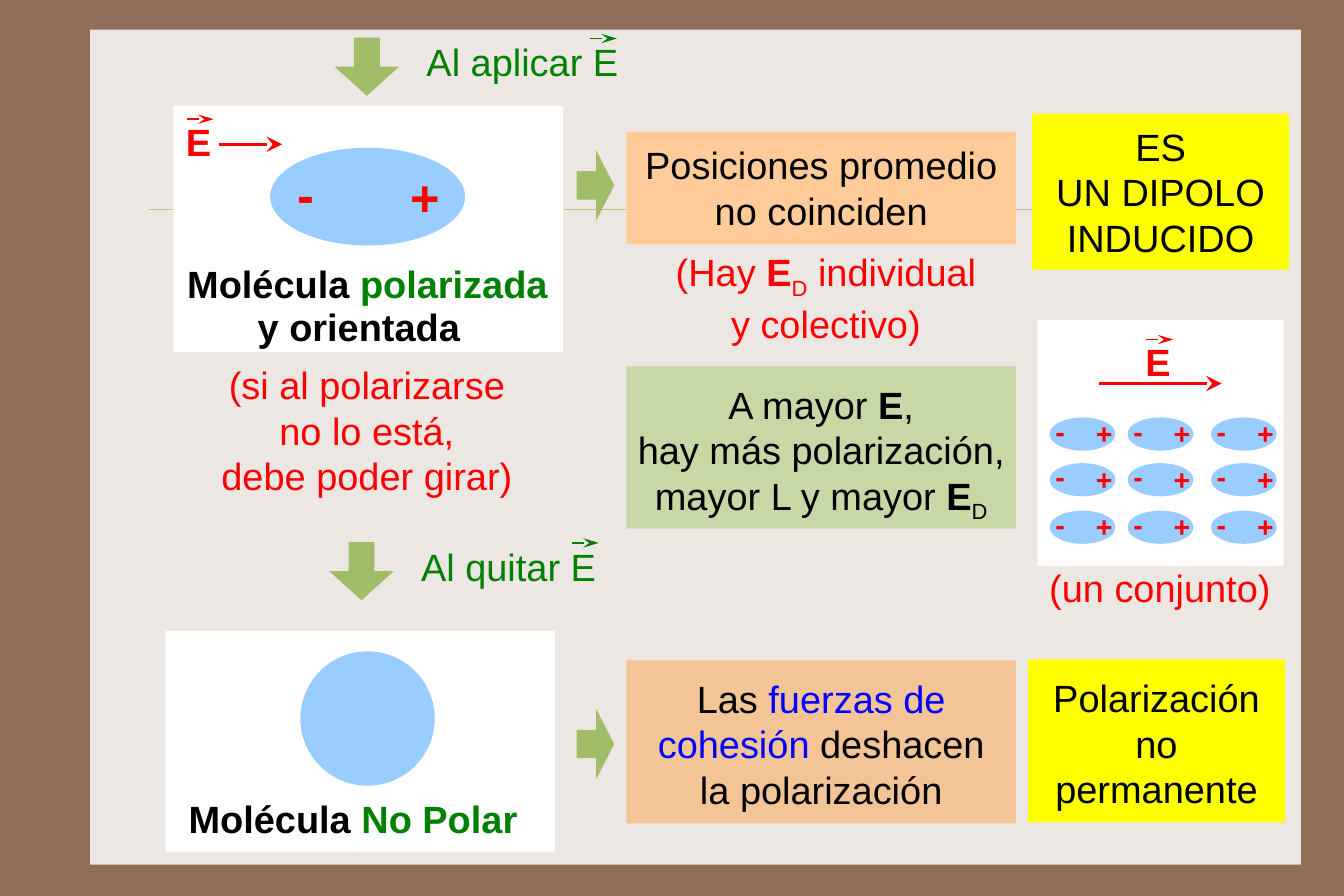
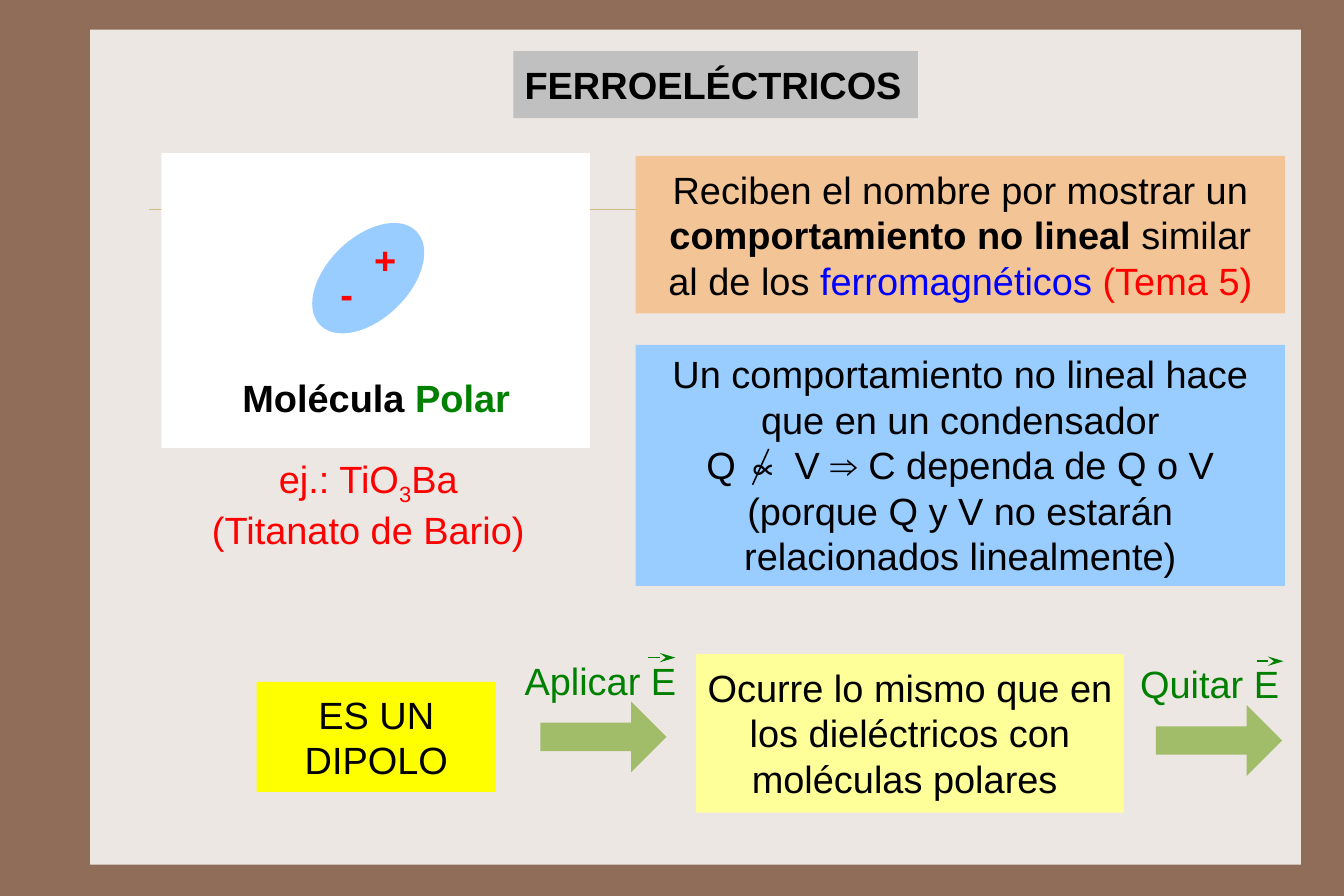
from lxml import etree
from pptx import Presentation
from pptx.dml.color import RGBColor
from pptx.enum.shapes import MSO_CONNECTOR, MSO_SHAPE
from pptx.enum.text import MSO_ANCHOR, PP_ALIGN
from pptx.oxml.ns import qn
from pptx.util import Inches, Pt

RECT, OVAL = MSO_SHAPE.RECTANGLE, MSO_SHAPE.OVAL
RIGHT, DOWN = MSO_SHAPE.RIGHT_ARROW, MSO_SHAPE.DOWN_ARROW
STRAIGHT = MSO_CONNECTOR.STRAIGHT
TOP, MIDDLE = MSO_ANCHOR.TOP, MSO_ANCHOR.MIDDLE
LEFT, CENTER = PP_ALIGN.LEFT, PP_ALIGN.CENTER

COLORS = {
    "frame": "906D58", "panel": "EDE7E3", "rule": "CBBD83", "white": "FFFFFF",
    "black": "000000", "red": "FF0000", "green": "008000", "blue": "0000FF",
    "sky": "99CCFF", "leaf": "A1BD69", "sage": "C7D7A5", "peach": "FFCC99",
    "sand": "F3C495", "yellow": "FFFF00", "cream": "FFFF99", "gray": "C0C0C0",
}
FONT = "Arial"

prs = Presentation()
prs.slide_width, prs.slide_height = Pt(850.5), Pt(567)
# Grid of 100 columns by 100 rows
COL, ROW = prs.slide_width / 100, prs.slide_height / 100

# Insets: left and right, top, bottom
PLAIN, LOW, WIDE, SLIM = (0.1, 0.09, 0.09), (0.1, 0.13, 0.09), (0.12, 0.08, 0.08), (0.1, 0.05, 0.05)
# Run formats
BOLD, SUB = {"bold": True}, {"sub": True}
GREEN, BLUE, RED = {"color": "green"}, {"color": "blue"}, {"color": "red"}
# Box formats
LABEL = {"wrap": False}
CHARGE = {"wrap": False, "bold": True, "color": "red"}
CENTERED = {"align": CENTER}
NOTE = {"align": CENTER, "color": "red"}


def put(s, x, y, w, h, *paras, shape=None, fill=None, rot=0, adj=(), ins=PLAIN,
        anchor=TOP, align=LEFT, wrap=True, size=24, color="black", bold=False):
    """Add a box; a paragraph is a string or a list of strings and (text, format) runs."""
    box = (round(x * COL), round(y * ROW), round(w * COL), round(h * ROW))
    if shape is None:
        sp = s.shapes.add_textbox(*box)
    else:
        sp = s.shapes.add_shape(shape, *box)
        sp.shadow.inherit = False
        sp.fill.solid()
        sp.fill.fore_color.rgb = RGBColor.from_string(COLORS[fill])
        sp.line.fill.background()
        sp.rotation = rot
        for i, value in enumerate(adj):
            sp.adjustments[i] = value
    tf = sp.text_frame
    tf.word_wrap, tf.vertical_anchor = wrap, anchor
    tf.margin_left = tf.margin_right = Inches(ins[0])
    tf.margin_top, tf.margin_bottom = Inches(ins[1]), Inches(ins[2])
    for i, para in enumerate(paras):
        p = tf.paragraphs[0] if i == 0 else tf.add_paragraph()
        p.alignment = align
        for run in [para] if isinstance(para, str) else para:
            text, fmt = (run, {}) if isinstance(run, str) else run
            r = p.add_run()
            r.text = text
            r.font.name, r.font.size = FONT, Pt(size)
            r.font.bold = fmt.get("bold", bold)
            r.font.color.rgb = RGBColor.from_string(COLORS[fmt.get("color", color)])
            if "sub" in fmt:
                r.font._element.set("baseline", "-25000")
    return sp


def line(s, x1, y1, x2, y2, color, width=1, arrow=True):
    """Add a straight line, with an arrowhead at its end unless told otherwise."""
    c = s.shapes.add_connector(STRAIGHT, round(x1 * COL), round(y1 * ROW),
                               round(x2 * COL), round(y2 * ROW))
    c.line.color.rgb = RGBColor.from_string(COLORS[color])
    c.line.width = Pt(width)
    if arrow:
        etree.SubElement(c.line._get_or_add_ln(), qn("a:tailEnd"), type="stealth",
                         w="lg" if width > 1 else "med", len="lg")
    etree.SubElement(c.element.spPr, qn("a:effectLst"))
    return c


blank = prs.slide_layouts[6]
s1, s2 = prs.slides.add_slide(blank), prs.slides.add_slide(blank)

# Shared frame, panel and rule, moved to the master
master = prs.slide_master
master.background.fill.solid()
master.background.fill.fore_color.rgb = RGBColor.from_string(COLORS["frame"])
panel = put(s1, 6.7, 3.3, 90.1, 93.2, shape=RECT, fill="panel")
rule = line(s1, 11.1, 23.35, 95, 23.35, "rule", 0.25, arrow=False)
for i, part in enumerate((panel, rule)):
    part.element.xpath("*/p:cNvPr")[0].set("id", str(100 + i))
    master.shapes.element.append(part.element)

# Slide 1: polarized molecule
s = s1
put(s, 12.9, 11.8, 29, 27.5, shape=RECT, fill="white")
put(s, 20.1, 16.5, 14.5, 10.9, shape=OVAL, fill="sky")
put(s, 29.7, 17.4, 3.9, 9, "+", size=32, **CHARGE)
put(s, 21.3, 17, 3, 9, "-", size=32, **CHARGE)
put(s, 13.1, 27.9, 28.7, 7.5, ["Molécula", (" polarizada", GREEN)], bold=True, **LABEL)
put(s, 13, 32.2, 27.4, 8, "y orientada", bold=True, ins=LOW, **CENTERED)
put(s, 12.7, 39.2, 29.2, 17.6, "(si al polarizarse", "no lo está,", "debe poder girar)",
    anchor=MIDDLE, **NOTE)

# Statements
put(s, 46.6, 14.7, 29, 12.6, "Posiciones promedio no coinciden",
    shape=RECT, fill="peach", **CENTERED)
put(s, 76.8, 12.7, 19.1, 17.4, "ES", "UN DIPOLO INDUCIDO",
    shape=RECT, fill="yellow", anchor=MIDDLE, ins=WIDE, **CENTERED)
put(s, 49.3, 26.1, 24.3, 13.1,
    ["(Hay ", ("E", BOLD), ("D", SUB), " individual y colectivo)"], ins=LOW, **NOTE)
put(s, 46.6, 40.9, 29, 18.1, ["A mayor ", ("E", BOLD), ","], "hay más polarización, ",
    ["mayor L y mayor ", ("E", BOLD), ("D", SUB)],
    shape=RECT, fill="sage", ins=LOW, **CENTERED)

# Back to a non-polar molecule
put(s, 12.3, 70.4, 29, 24.7, shape=RECT, fill="white")
put(s, 22.35, 72.7, 10, 15, shape=OVAL, fill="sky")
put(s, 13.2, 87.7, 27.8, 7.5, ["Molécula", (" No Polar", GREEN)], bold=True)
put(s, 46.6, 73.7, 29, 18.2,
    ["Las ", ("fuerzas de cohesión ", BLUE), "deshacen"], "la polarización",
    shape=RECT, fill="sand", ins=LOW, **CENTERED)
put(s, 76.5, 73.6, 19.1, 18.2, "Polarización no permanente",
    shape=RECT, fill="yellow", anchor=MIDDLE, ins=LOW, **CENTERED)

# Steps downwards and to the right
for text, x, y, w, vector in (("Al aplicar E", 24.9, 4.2, 16.1, 43.9),
                              ("Al quitar E", 24.5, 60.5, 14.8, 42.55)):
    put(s, x, y, 4.8, 6.5, shape=DOWN, fill="leaf", adj=(0.4, 0.5))
    put(s, x + 6, y - 1, w, 7.5, text, color="green", **LABEL)
    line(s, vector, y + 0.1, vector + 2, y + 0.1, "green")
for y in (16.75, 79.1):
    put(s, 42.9, y, 2.8, 7.9, shape=RIGHT, fill="leaf", adj=(0.4, 0.48))

# Set of aligned molecules
put(s, 77.2, 35.7, 18.3, 27.5, shape=RECT, fill="white")
for y in (46.6, 51.7, 57):
    for x in (78.1, 83.9, 90.1):
        put(s, x, y, 4.9, 3.7, shape=OVAL, fill="sky")
        put(s, x + 2.6, y - 1.27, 2, 4.3, "+", size=18, **CHARGE)
        put(s, x - 0.4, y - 1.55, 1.7, 4.3, "-", size=18, **CHARGE)
put(s, 75.4, 61.4, 21.8, 8, "(un conjunto)", ins=LOW, **NOTE)

# Field vectors: label position, then start, end and row of the long arrow
for x, y, start, end, row in ((13, 12.1, 16.3, 21, 16.1), (84.4, 36.7, 81.8, 90.9, 42.8)):
    put(s, x, y, 3.2, 6.5, "E", **CHARGE)
    line(s, x + 0.9, y + 1.2, x + 2.9, y + 1.2, "red")
    line(s, start, row, end, row, "red", 2)

# Slide 2: title and polar molecule
s = s2
put(s, 38.2, 5.7, 30.1, 7.5, "FERROELÉCTRICOS", shape=RECT, fill="gray", bold=True, **LABEL)
put(s, 12, 17.1, 31.9, 32.9, shape=RECT, fill="white")
put(s, 22.4, 26.5, 10, 9.1, shape=OVAL, fill="sky", rot=315.9)
put(s, 27, 25.25, 4.4, 6.7, "+", **CHARGE)
put(s, 24.5, 29.1, 3.6, 6.7, "-", **CHARGE)
put(s, 17.2, 40.7, 21.8, 7.5, ["Molécula", (" Polar", GREEN)], bold=True, **LABEL)
put(s, 14.6, 50.1, 25.6, 12.3, ["ej.: TiO", ("3", SUB), "Ba"], "(Titanato de Bario)",
    anchor=MIDDLE, ins=WIDE, wrap=False, **NOTE)

# Explanations
put(s, 47.3, 17.4, 48.3, 17.6, "Reciben el nombre por mostrar un",
    [("comportamiento no lineal", BOLD), " similar"],
    ["al de los ", ("ferromagnéticos ", BLUE), ("(Tema 5)", RED)],
    shape=RECT, fill="sand", anchor=MIDDLE, ins=WIDE, **CENTERED)
put(s, 47.3, 38.5, 48.3, 26.9, "Un comportamiento no lineal hace que en un condensador",
    "Q ∝ V ⇒ C dependa de Q o V", "(porque Q y V no estarán relacionados linealmente)",
    shape=RECT, fill="sky", ins=SLIM, **CENTERED)
line(s, 57.2, 50.1, 56, 54.1, "black", arrow=False)

# Sequence of states
put(s, 19.1, 76.1, 17.8, 12.3, "ES UN DIPOLO",
    shape=RECT, fill="yellow", anchor=MIDDLE, ins=WIDE, **CENTERED)
put(s, 51.8, 73, 31.8, 17.7, "Ocurre lo mismo que en los dieléctricos con moléculas polares ",
    shape=RECT, fill="cream", **CENTERED)
for text, x, y, w, vector in (("Aplicar E", 38.2, 72.2, 13.1, 48.25),
                              ("Quitar E", 84, 72.6, 12.1, 93.5)):
    put(s, x + 2, y + 6.1, 9.4, 7.9, shape=RIGHT, fill="leaf", adj=(0.4, 0.5))
    put(s, x, y, w, 7.5, text, color="green", **LABEL)
    line(s, vector, y + 1.2, vector + 2, y + 1.2, "green")

prs.save("out.pptx")
